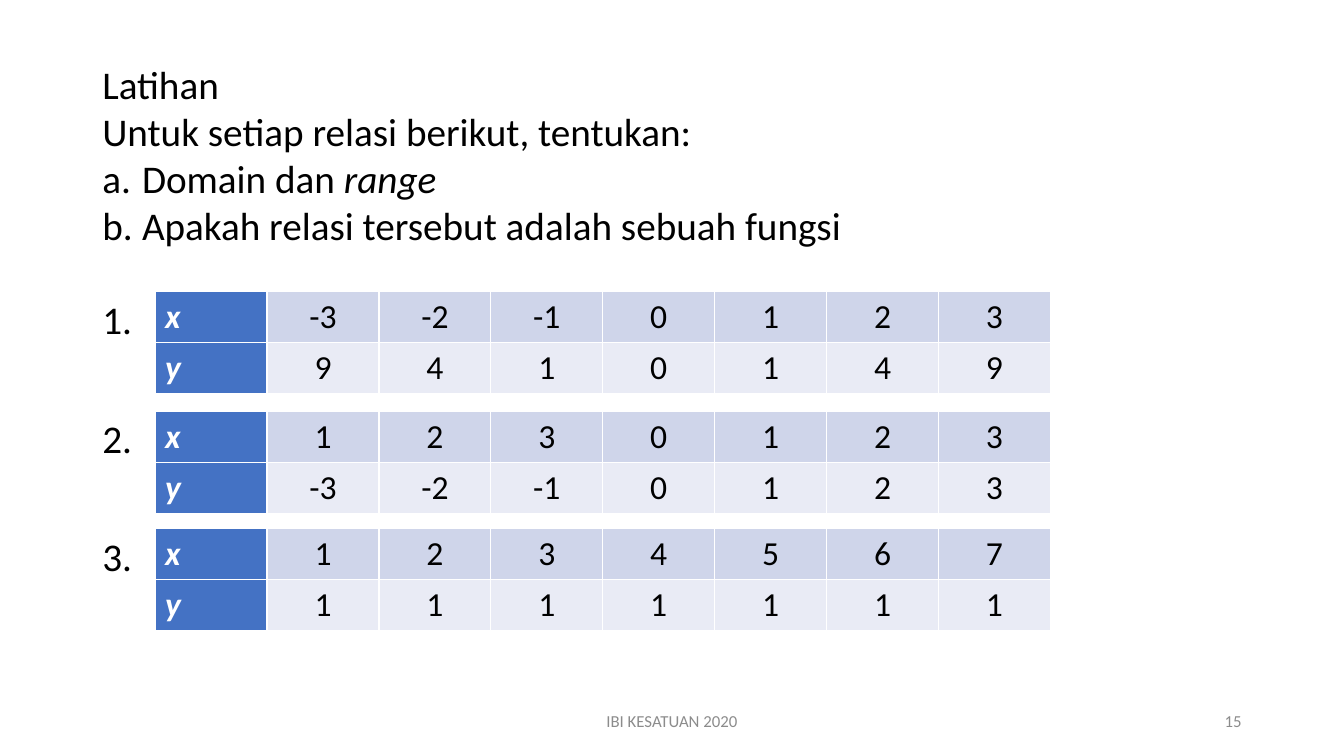
from dataclasses import dataclass

from lxml import etree
from pptx import Presentation
from pptx.dml.color import RGBColor
from pptx.enum.text import MSO_ANCHOR, PP_ALIGN
from pptx.oxml.ns import qn
from pptx.util import Cm, Pt

LEFT, CENTER, RIGHT = PP_ALIGN.LEFT, PP_ALIGN.CENTER, PP_ALIGN.RIGHT
TOP, MIDDLE = MSO_ANCHOR.TOP, MSO_ANCHOR.MIDDLE


@dataclass(frozen=True)
class Theme:
    font: str = "Calibri"
    ink: str = "000000"
    white: str = "FFFFFF"
    muted: str = "8C8C8C"
    header: str = "4472C4"
    bands: tuple = ("CFD5EA", "E9EBF5")
    body_size: int = 28
    table_size: int = 24
    footer_size: int = 12


class SlideBuilder:
    def __init__(self, page, theme):
        self.page = page
        self.theme = theme

    def add_span(self, para, text, size, color, **formats):
        span = para.add_run()
        span.text = text
        values = {"name": self.theme.font, "size": Pt(size), **formats}
        for name, value in values.items():
            setattr(span.font, name, value)
        span.font.color.rgb = RGBColor.from_string(color)

    def text_box(self, left, top, width, height, anchor=TOP):
        box = self.page.shapes.add_textbox(Cm(left), Cm(top), Cm(width), Cm(height))
        frame = box.text_frame
        frame.word_wrap = True
        frame.vertical_anchor = anchor
        return frame

    def letter(self, para):
        """Give the paragraph an automatic a., b., ... label."""
        properties = para._p.get_or_add_pPr()
        properties.set("marL", str(Cm(1)))
        properties.set("indent", str(Cm(-1)))
        etree.SubElement(properties, qn("a:buAutoNum"), type="alphaLcPeriod")

    def body(self, lines):
        """Each line is (space before in points, lettered, spans); a span is (text, italic)."""
        frame = self.text_box(2.33, 1.4, 29.21, 15.75)
        for index, (space, lettered, spans) in enumerate(lines):
            para = frame.add_paragraph() if index else frame.paragraphs[0]
            para.space_before = Pt(space)
            if lettered:
                self.letter(para)
            for text, italic in spans:
                self.add_span(para, text, self.theme.body_size, self.theme.ink, italic=italic)

    def footer(self, text, left, width, align):
        para = self.text_box(left, 17.65, width, 1.01, MIDDLE).paragraphs[0]
        para.alignment = align
        self.add_span(para, text, self.theme.footer_size, self.theme.muted)

    def border(self, cell):
        properties = cell._tc.get_or_add_tcPr()
        for side in ("a:lnL", "a:lnR", "a:lnT", "a:lnB"):
            line = etree.SubElement(properties, qn(side), w=str(Pt(1)))
            fill = etree.SubElement(line, qn("a:solidFill"))
            etree.SubElement(fill, qn("a:srgbClr"), val=self.theme.white)

    def cell(self, cell, text, is_header, band):
        theme = self.theme
        self.border(cell)
        cell.fill.solid()
        cell.fill.fore_color.rgb = RGBColor.from_string(theme.header if is_header else band)
        para = cell.text_frame.paragraphs[0]
        para.alignment = LEFT if is_header else CENTER
        self.add_span(para, text, theme.table_size, theme.white if is_header else theme.ink,
                      bold=is_header, italic=is_header)

    def relation_table(self, top, x_values, y_values):
        rows = [["x", *x_values], ["y", *y_values]]
        column_count, column_width, row_height = len(rows[0]), 2.82, 1.29
        table = self.page.shapes.add_table(
            len(rows), column_count, Cm(3.91), Cm(top),
            Cm(column_width * column_count), Cm(row_height * len(rows))).table
        table.first_row = table.horz_banding = False
        table.first_col = True
        for column in table.columns:
            column.width = Cm(column_width)
        for row_index, (values, band) in enumerate(zip(rows, self.theme.bands)):
            table.rows[row_index].height = Cm(row_height)
            for column_index, value in enumerate(values):
                self.cell(table.cell(row_index, column_index), str(value),
                          column_index == 0, band)


BODY_LINES = [
    (0, False, [("Latihan", False)]),
    (0, False, [("Untuk setiap relasi berikut, tentukan:", False)]),
    (0, True, [("Domain dan ", False), ("range", True)]),
    (0, True, [("Apakah relasi tersebut adalah sebuah fungsi", False)]),
    (33.5, False, [("1.", False)]),
    (51, False, [("2.", False)]),
    (51, False, [("3.", False)]),
]

RELATIONS = [
    (7.34, range(-3, 4), [9, 4, 1, 0, 1, 4, 9]),
    (10.37, [1, 2, 3, 0, 1, 2, 3], range(-3, 4)),
    (13.32, range(1, 8), [1] * 7),
]


def main():
    deck = Presentation()
    deck.slide_width, deck.slide_height = Cm(33.87), Cm(19.05)
    builder = SlideBuilder(deck.slides.add_slide(deck.slide_layouts[6]), Theme())
    builder.body(BODY_LINES)
    builder.footer("IBI KESATUAN 2020", 11.22, 11.43, CENTER)
    builder.footer("15", 23.92, 7.62, RIGHT)
    for top, x_values, y_values in RELATIONS:
        builder.relation_table(top, x_values, y_values)
    deck.save("out.pptx")


if __name__ == "__main__":
    main()
